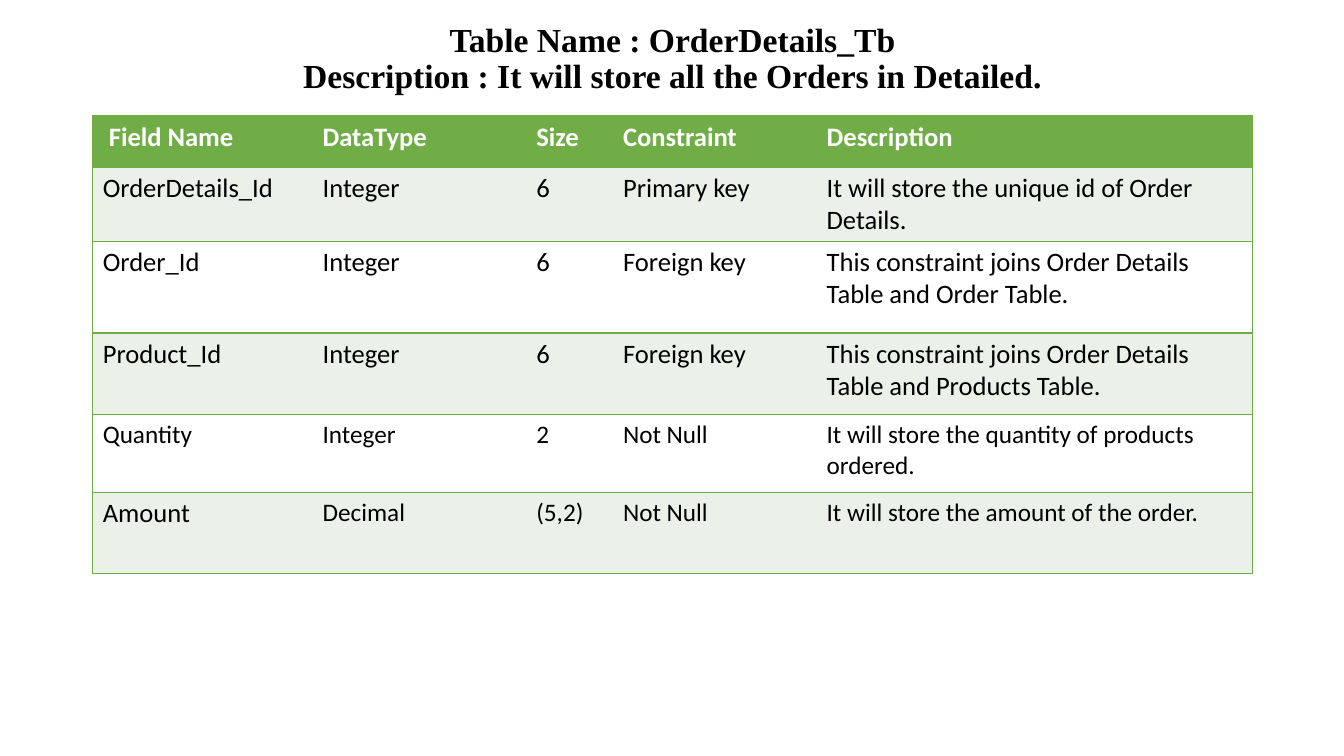
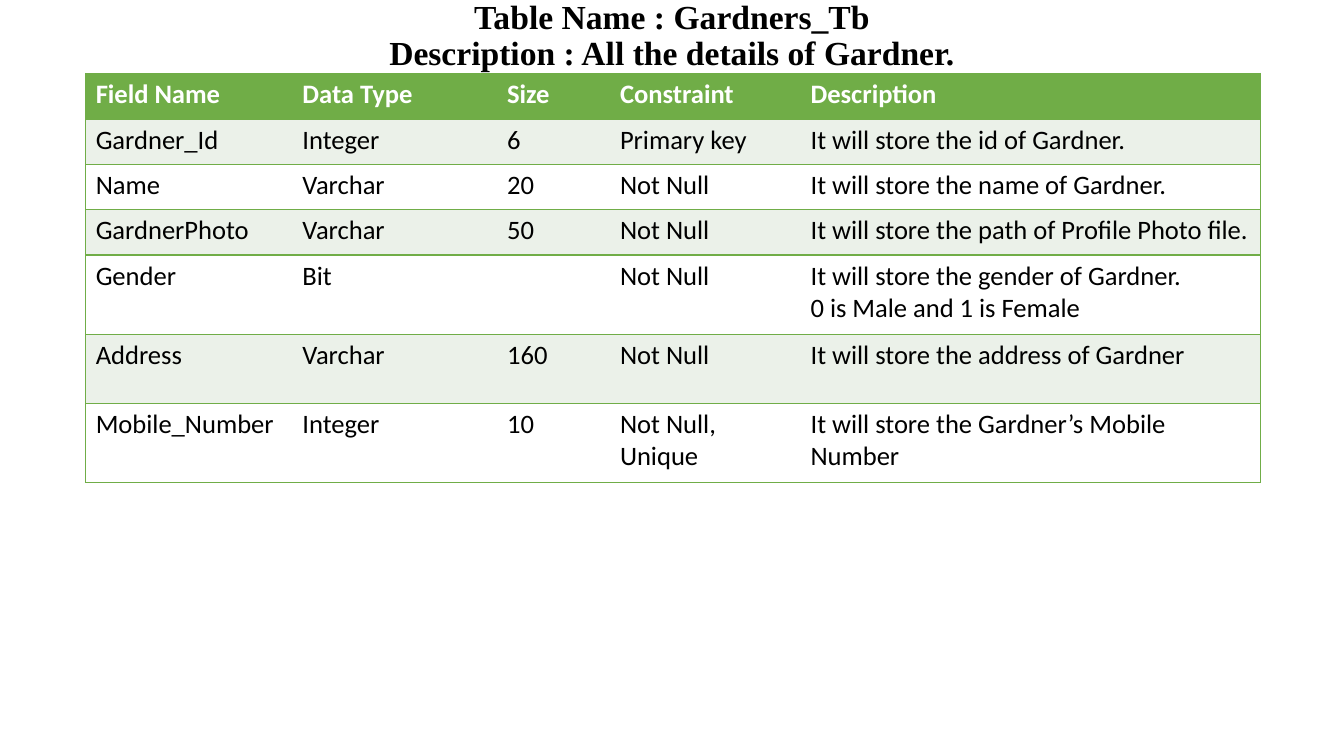
from dataclasses import dataclass
from lxml.etree import SubElement as Sub
from pptx import Presentation
from pptx.dml.color import RGBColor as Rgb
from pptx.enum.text import MSO_ANCHOR as Anchor, PP_ALIGN as Align
from pptx.oxml.ns import qn
from pptx.util import Pt


@dataclass(frozen=True)
class Theme:
    green: str = "70AD47"
    band: str = "EBF1E9"
    white: str = "FFFFFF"
    black: str = "000000"
    head: str = "Times New Roman"
    body: str = "Calibri"
    title: int = 24
    text: int = 19
    small: int = 18
    line: int = 1
    plain: str = "{2D5ABB26-0587-4C30-8999-92F81FD0307C}"


theme = Theme()
SCALE = 9144


def style(frame, font, size, color, bold):
    for para in frame.paragraphs:
        for run in para.runs:
            run.font.name = font
            run.font.size = Pt(size)
            run.font.bold = bold
            run.font.color.rgb = Rgb.from_string(color)


def edge(cell, sides):
    props = cell._tc.get_or_add_tcPr()
    for side in sides:
        line = Sub(props, qn(f"a:ln{side}"), w=str(Pt(theme.line)))
        fill = Sub(line, qn("a:solidFill"))
        Sub(fill, qn("a:srgbClr"), val=theme.green)


pages = [
    {
        "title": "Table Name : OrderDetails_Tb\vDescription : It will store all the Orders in Detailed.",
        "box": (92, 3, 1150, 112),
        "anchor": Anchor.MIDDLE,
        "at": (92, 115),
        "cols": [218, 212, 86, 202, 432],
        "rows": [51, 68, 91, 81, 77, 81],
        "small": {(4, 0), *((r, c) for r in (4, 5) for c in range(1, 5))},
        "data": [
            [" Field Name", "DataType", "Size", "Constraint", "Description"],
            ["OrderDetails_Id", "Integer", "6", "Primary key", "It will store the unique id of Order Details."],
            ["Order_Id", "Integer", "6", "Foreign key", "This constraint joins Order Details Table and Order Table."],
            ["Product_Id", "Integer", "6", "Foreign key", "This constraint joins Order Details Table and Products Table."],
            ["Quantity", "Integer", "2", "Not Null", "It will store the quantity of products ordered."],
            ["Amount", "Decimal", "(5,2)", "Not Null", "It will store the amount of the order."],
        ],
    },
    {
        "title": "Table Name : Gardners_Tb\vDescription : All the details of Gardner.",
        "box": (155, -16, 1023, 93),
        "anchor": Anchor.BOTTOM,
        "at": (85, 73),
        "cols": [205, 203, 112, 189, 456],
        "rows": [45, 45, 45, 45, 79, 68, 79],
        "small": set(),
        "data": [
            ["Field Name", "Data Type", "Size", "Constraint", "Description"],
            ["Gardner_Id", "Integer", "6", "Primary key", "It will store the id of Gardner."],
            ["Name", "Varchar", "20", "Not Null", "It will store the name of Gardner."],
            ["GardnerPhoto", "Varchar", "50", "Not Null", "It will store the path of Profile Photo file."],
            ["Gender", "Bit", "", "Not Null", "It will store the gender of Gardner.\n0 is Male and 1 is Female"],
            ["Address", "Varchar", "160", "Not Null", "It will store the address of Gardner"],
            ["Mobile_Number", "Integer", "10", "Not Null, Unique", "It will store the Gardner’s Mobile Number"],
        ],
    },
]

deck = Presentation()
deck.slide_width = 1333 * SCALE
deck.slide_height = 750 * SCALE

for page in pages:
    slide = deck.slides.add_slide(deck.slide_layouts[6])

    box = slide.shapes.add_textbox(*(n * SCALE for n in page["box"]))
    frame = box.text_frame
    frame.word_wrap = True
    frame.vertical_anchor = page["anchor"]
    frame.text = page["title"]
    frame.paragraphs[0].alignment = Align.CENTER
    frame.paragraphs[0].line_spacing = 0.9
    style(frame, theme.head, theme.title, theme.black, True)

    cols, rows = page["cols"], page["rows"]
    area = (*page["at"], sum(cols), sum(rows))
    grid = slide.shapes.add_table(len(rows), len(cols), *(n * SCALE for n in area))
    grid.element.xpath(".//a:tableStyleId")[0].text = theme.plain
    table = grid.table
    table.horz_banding = False
    for col, width in zip(table.columns, cols):
        col.width = width * SCALE
    for row, height in zip(table.rows, rows):
        row.height = height * SCALE

    for r, line in enumerate(page["data"]):
        top = r == 0
        back = theme.green if top else theme.band if r % 2 else theme.white
        ink = theme.white if top else theme.black
        for c, text in enumerate(line):
            cell = table.cell(r, c)
            cell.text_frame.text = text
            size = theme.small if (r, c) in page["small"] else theme.text
            style(cell.text_frame, theme.body, size, ink, top)
            edge(cell, {0: "LTB", len(cols) - 1: "RTB"}.get(c, "TB"))
            cell.fill.solid()
            cell.fill.fore_color.rgb = Rgb.from_string(back)

deck.save("out.pptx")
